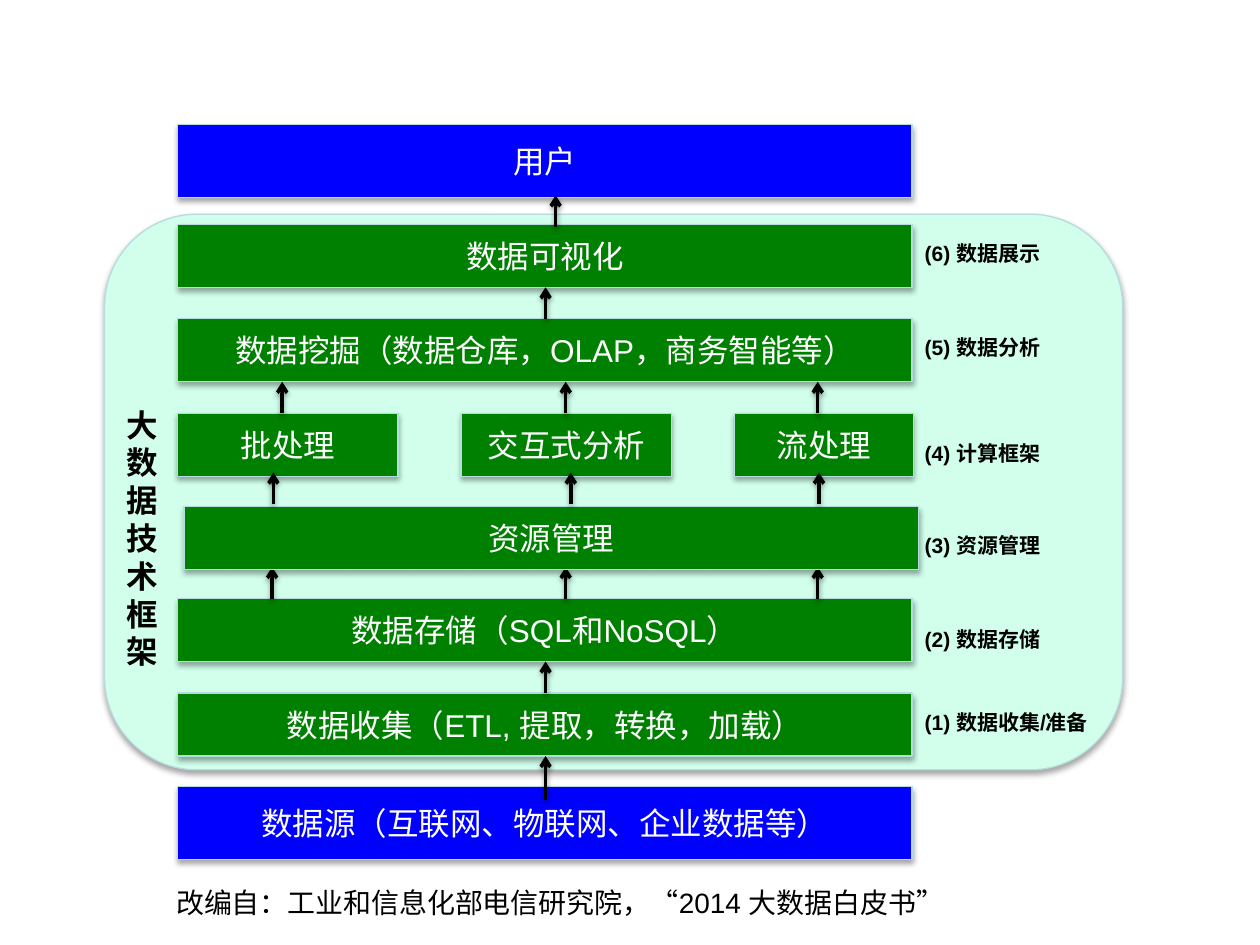
from lxml import etree
from pptx import Presentation
from pptx.dml.color import RGBColor
from pptx.enum.shapes import MSO_CONNECTOR, MSO_SHAPE
from pptx.enum.text import MSO_ANCHOR, MSO_AUTO_SIZE, PP_ALIGN
from pptx.oxml.ns import qn
from pptx.util import Inches, Pt

RECT = MSO_SHAPE.RECTANGLE
ROUND = MSO_SHAPE.ROUNDED_RECTANGLE
STRAIGHT = MSO_CONNECTOR.STRAIGHT
MIDDLE = MSO_ANCHOR.MIDDLE
CENTER = PP_ALIGN.CENTER
GROW = MSO_AUTO_SIZE.SHAPE_TO_FIT_TEXT

COLORS = {
    "blue": "0000FF",
    "green": "008000",
    "mint": "D1FFEC",
    "edge": "B6DCDF",
    "black": "000000",
    "white": "FFFFFF",
}
FONT = "Arial"
LEFT, WIDE = 1.41, 5.83  # full-width layers
HIGH, TALL = 0.5, 0.58   # green and blue layers


def color(name):
    return RGBColor.from_string(COLORS[name])


def shade(shape, alpha, dist):
    """Give the shape a soft shadow that falls straight down."""
    props = shape._element.spPr
    effects = props.find(qn("a:effectLst"))
    if effects is None:
        effects = etree.SubElement(props, qn("a:effectLst"))
    cast = etree.SubElement(effects, qn("a:outerShdw"), blurRad=str(Pt(3.1)),
                            dist=str(Pt(dist)), dir="5400000", rotWithShape="0")
    tone = etree.SubElement(cast, qn("a:srgbClr"), val=COLORS["black"])
    etree.SubElement(tone, qn("a:alpha"), val=str(alpha * 1000))


def style(frame, size, tone, bold=False):
    for para in frame.paragraphs:
        for run in para.runs:
            run.font.name = FONT
            run.font.size = Pt(size)
            run.font.bold = bold
            run.font.color.rgb = color(tone)


def add_box(slide, text, left, top, width, height, fill="green", kind=RECT):
    box = slide.shapes.add_shape(kind, Inches(left), Inches(top),
                                 Inches(width), Inches(height))
    box.fill.solid()
    box.fill.fore_color.rgb = color(fill)
    box.line.color.rgb = color("edge")
    box.line.width = Pt(0.75)
    box.shadow.inherit = False
    shade(box, 35, 1.8)
    if text:
        frame = box.text_frame
        frame.text = text
        frame.vertical_anchor = MIDDLE
        frame.paragraphs[0].alignment = CENTER
        style(frame, 18, "white")


def add_text(slide, text, left, top, width, height, size=12, bold=True):
    box = slide.shapes.add_textbox(Inches(left), Inches(top),
                                   Inches(width), Inches(height))
    frame = box.text_frame
    frame.word_wrap = True
    frame.auto_size = GROW
    frame.text = text
    style(frame, size, "black", bold)


def add_arrow(slide, x, base, rise=0.25):
    arrow = slide.shapes.add_connector(STRAIGHT, Inches(x), Inches(base),
                                       Inches(x), Inches(base - rise))
    arrow.line.color.rgb = color("black")
    arrow.line.width = Pt(2)
    etree.SubElement(arrow.line._get_or_add_ln(), qn("a:tailEnd"), type="arrow")
    shade(arrow, 38, 1.6)


def main():
    prs = Presentation()
    prs.slide_width, prs.slide_height = Inches(10), Inches(7.5)
    slide = prs.slides.add_slide(prs.slide_layouts[6])

    # Source, users and the framework panel between them
    add_box(slide, "数据源（互联网、物联网、企业数据等）", LEFT, 6.24, WIDE, TALL, "blue")
    add_box(slide, "用户", LEFT, 0.99, WIDE, TALL, "blue")
    add_box(slide, "", 0.83, 1.7, 8.08, 4.41, "mint", ROUND)

    # Framework layers
    for text, top in [
        ("数据收集（ETL, 提取，转换，加载）", 5.5),
        ("数据存储（SQL和NoSQL）", 4.75),
        ("数据挖掘（数据仓库，OLAP，商务智能等）", 2.53),
        ("数据可视化", 1.78),
    ]:
        add_box(slide, text, LEFT, top, WIDE, HIGH)
    for text, left, width in [
        ("批处理", LEFT, 1.75),
        ("交互式分析", 3.66, 1.67),
        ("流处理", 5.83, 1.42),
    ]:
        add_box(slide, text, left, 3.28, width, HIGH)

    # Layer labels and the panel title
    for text, top, width in [
        ("(1) 数据收集/准备", 5.58, 1.58),
        ("(2) 数据存储", 4.92, 1.21),
        ("(3) 资源管理", 4.18, 1.21),
        ("(4) 计算框架", 3.45, 1.21),
        ("(5) 数据分析", 2.61, 1.21),
        ("(6) 数据展示", 1.86, 1.21),
    ]:
        add_text(slide, text, 7.24, top, width, 0.3)
    add_text(slide, "\n".join("大数据技术框架"), 0.91, 3.17, 0.47, 2.22, 18)

    # Arrows up the stack; the resource layer covers the tips below it
    add_arrow(slide, 4.33, 6.35, 0.35)
    for x, base in [(4.33, 5.5), (4.33, 2.53), (4.41, 1.8)]:
        add_arrow(slide, x, base)
    for base, columns in [(4.75, (2.16, 4.49, 6.49)), (3.28, (2.24, 4.49, 6.49))]:
        for x in columns:
            add_arrow(slide, x, base)
    add_box(slide, "资源管理", 1.46, 4.02, WIDE, HIGH)
    for x in (2.17, 4.53, 6.5):
        add_arrow(slide, x, 4)

    # Credit line
    add_text(slide, "改编自：工业和信息化部电信研究院，“2014 大数据白皮书”",
             1.3, 6.98, 6.67, 0.37, 16, False)

    prs.save("out.pptx")


if __name__ == "__main__":
    main()
